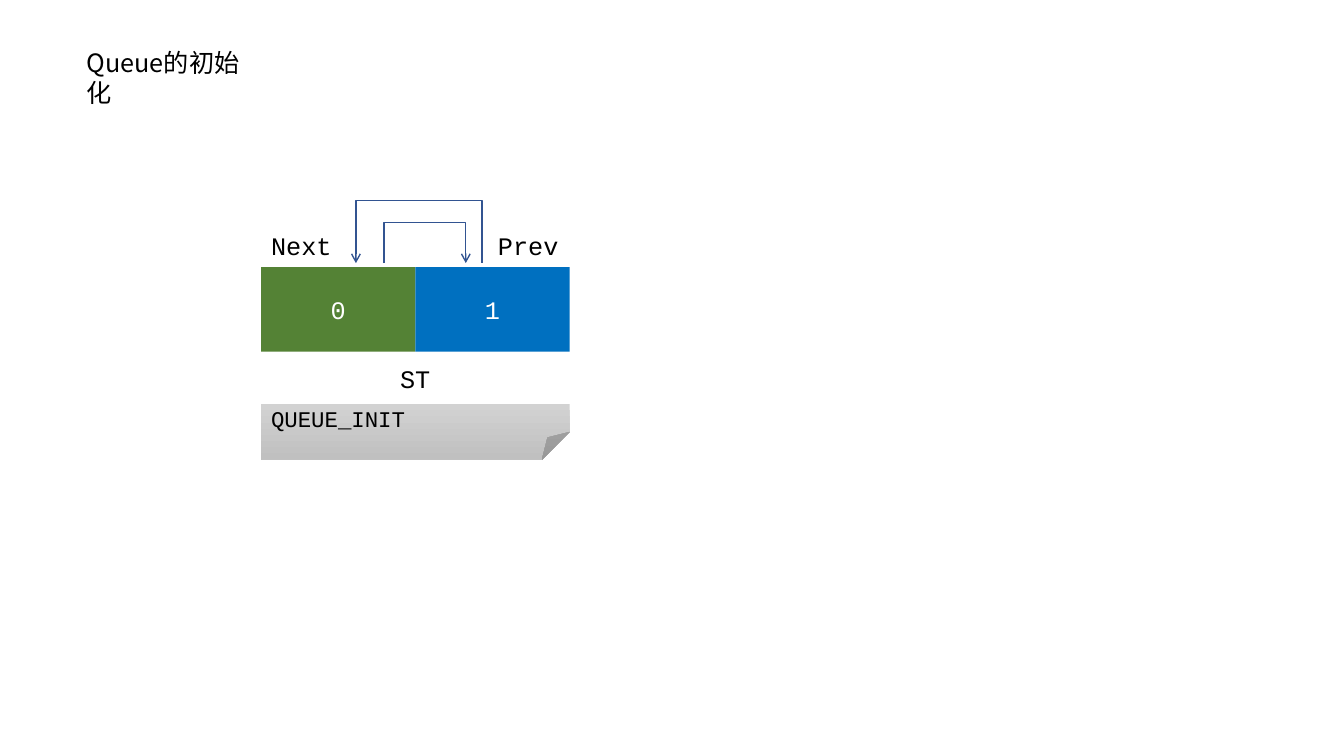
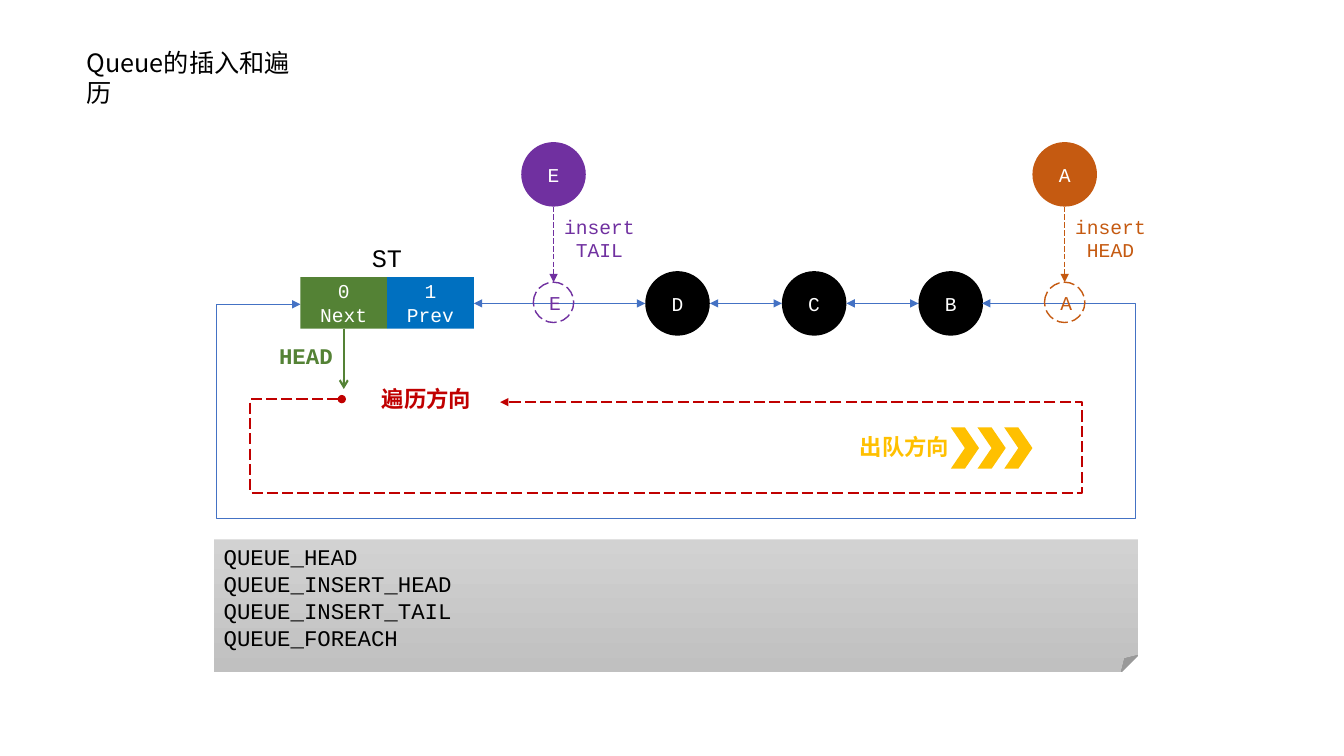
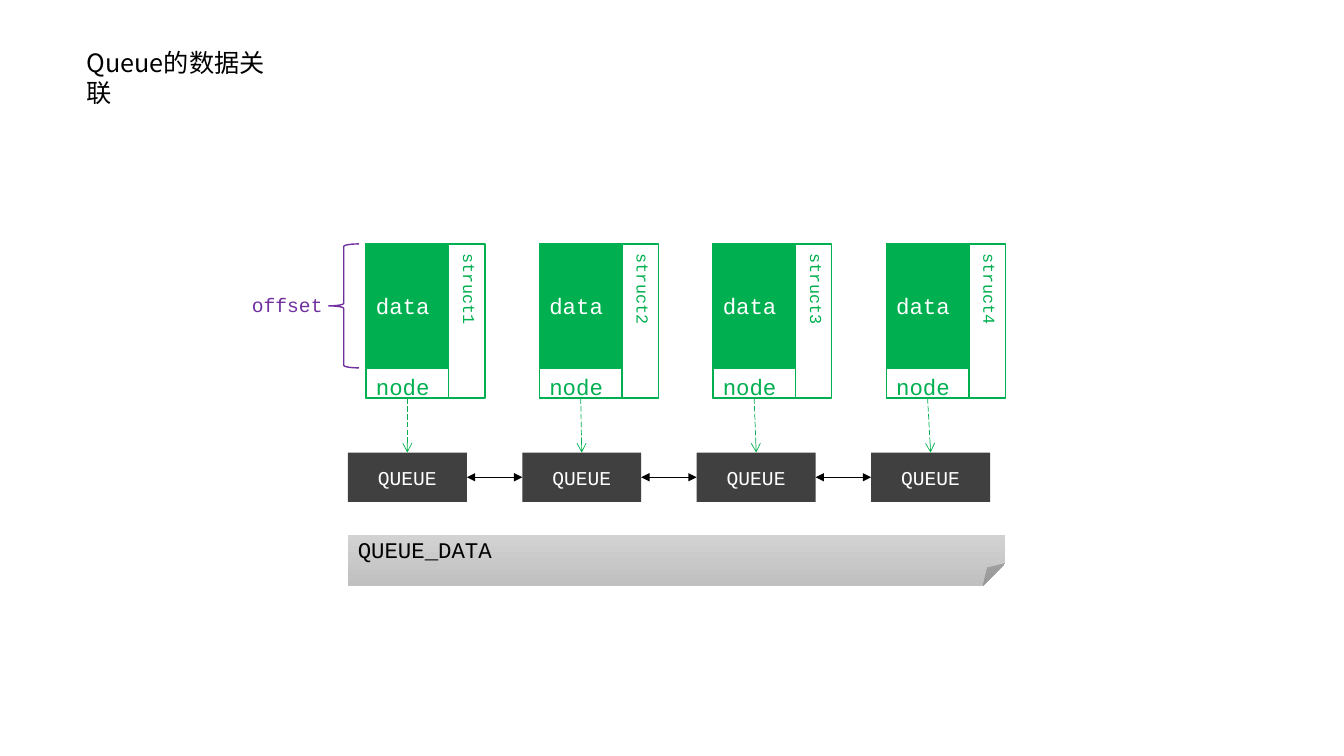
from lxml.etree import SubElement
from pptx import Presentation
from pptx.dml.color import RGBColor
from pptx.enum.dml import MSO_LINE
from pptx.enum.shapes import MSO_CONNECTOR, MSO_SHAPE as SHAPE
from pptx.enum.text import MSO_ANCHOR as ANCHOR, MSO_AUTO_SIZE, PP_ALIGN as ALIGN
from pptx.oxml.ns import qn
from pptx.util import Inches, Pt

MONO, CJK = "Courier New", "Noto Sans CJK SC"
BLACK, WHITE, CHARCOAL = "000000", "FFFFFF", "404040"
OLIVE, BLUE, LINK, NAVY = "548235", "0070C0", "4472C4", "325491"
PURPLE, RUST, RED, GOLD, GREEN = "7030A0", "C55A11", "C00000", "FFC000", "00B050"
PAPER_TOP, PAPER_BOTTOM = "D2D2D2", "C0C0C0"


def rgb(color):
    return RGBColor.from_string(color)


def write(frame, text, size, color, font=MONO, align=ALIGN.LEFT,
          anchor=ANCHOR.TOP, bold=False, wrap=True):
    frame.text = text
    frame.word_wrap = wrap
    frame.auto_size = MSO_AUTO_SIZE.NONE
    frame.vertical_anchor = anchor
    for paragraph in frame.paragraphs:
        paragraph.alignment = align
        for run in paragraph.runs:
            run.font.size, run.font.bold = Pt(size), bold
            run.font.name = font
            run.font.color.rgb = rgb(color)
            east_asian = SubElement(run.font._element, qn("a:ea"))
            east_asian.set("typeface", font)


def stroke(shape, color, width, dashed=False, head=None, tail=None):
    """Style an outline; head and tail are the arrowheads at its start and end."""
    shape.line.color.rgb = rgb(color)
    shape.line.width = Pt(width)
    if dashed:
        shape.line.dash_style = MSO_LINE.LONG_DASH
    outline = shape._element.spPr.find(qn("a:ln"))
    for tag, kind in (("a:headEnd", head), ("a:tailEnd", tail)):
        if kind:
            SubElement(outline, qn(tag)).set("type", kind)


def block(shapes, kind, left, top, width, height, fill=None, line=None, dashed=False):
    shape = shapes.add_shape(kind, Inches(left), Inches(top), Inches(width), Inches(height))
    shape.shadow.inherit = False
    if fill:
        shape.fill.solid()
        shape.fill.fore_color.rgb = rgb(fill)
    else:
        shape.fill.background()
    if line:
        stroke(shape, line, 1, dashed)
    else:
        shape.line.fill.background()
    return shape


def label(shapes, left, top, width, height, text, size, color, **style):
    box = shapes.add_textbox(Inches(left), Inches(top), Inches(width), Inches(height))
    write(box.text_frame, text, size, color, wrap=False, **style)


def arrow(shapes, start, end, color, width=0.5, **ends):
    link = shapes.add_connector(MSO_CONNECTOR.STRAIGHT, *map(Inches, start + end))
    stroke(link, color, width, **ends)
    SubElement(link._element.spPr, qn("a:effectLst"))


def route(shapes, points, color, width=1, **ends):
    """Draw an open line through the points."""
    corners = [(Inches(x), Inches(y)) for x, y in points]
    builder = shapes.build_freeform(*corners[0])
    builder.add_line_segments(corners[1:], close=False)
    line = builder.convert_to_shape()
    line.shadow.inherit = False
    line.fill.background()
    stroke(line, color, width, **ends)


def titled_slide(deck, title, width):
    slide = deck.slides.add_slide(deck.slide_layouts[5])
    heading = slide.shapes.title
    heading.left, heading.top = Inches(0.76), Inches(0.42)
    heading.width, heading.height = Inches(width), Inches(0.4)
    write(heading.text_frame, title, 18, BLACK, font=CJK)
    return slide.shapes


def memo(shapes, left, top, width, height, text, fold):
    """Draw a paper note; fold is the corner's share of the height."""
    note = block(shapes, SHAPE.FOLDED_CORNER, left, top, width, height, PAPER_TOP)
    geometry = note._element.spPr.find(qn("a:prstGeom"))
    guide = SubElement(geometry.find(qn("a:avLst")), qn("a:gd"))
    guide.set("name", "adj")
    guide.set("fmla", f"val {round(fold * 100000)}")
    note.fill.gradient()
    note.fill.gradient_angle = 270
    for stop, color in zip(note.fill.gradient_stops, (PAPER_TOP, PAPER_BOTTOM)):
        stop.color.rgb = rgb(color)
    write(note.text_frame, text, 16, BLACK, anchor=ANCHOR.MIDDLE)


def centred(shapes, kind, left, top, width, height, text, size,
            color=WHITE, **look):
    shape = block(shapes, kind, left, top, width, height, **look)
    write(shape.text_frame, text, size, color, align=ALIGN.CENTER, anchor=ANCHOR.MIDDLE)


def sentinel(shapes, left, top, width, height, texts, size):
    """Draw the two pointer cells of the queue head side by side."""
    for i, (text, fill) in enumerate(zip(texts, (OLIVE, BLUE))):
        centred(shapes, SHAPE.RECTANGLE, left + i * width, top, width, height,
                text, size, fill=fill)


def insertion(shapes, left, top, letter, place, color):
    """Draw a new node dropping into its place in the list."""
    node, slot = 0.64, 0.4
    middle, slot_top = left + node / 2, top + 1.39
    centred(shapes, SHAPE.OVAL, left, top, node, node, letter, 14, fill=color)
    label(shapes, middle, top + 0.67, 0.91, 0.57, f"insert\n{place}", 14, color,
          align=ALIGN.CENTER)
    centred(shapes, SHAPE.OVAL, middle - slot / 2, slot_top, slot, slot, letter, 14,
            color, line=color, dashed=True)
    arrow(shapes, (middle, top + node), (middle, slot_top), color,
          dashed=True, tail="triangle")


def dequeue_mark(shapes, left, top):
    group = shapes.add_group_shape().shapes
    label(group, left, top + 0.01, 1.1, 0.37, "出队方向", 16, GOLD, font=CJK, bold=True)
    for i in range(3):
        block(group, SHAPE.CHEVRON, left + 1 + i * 0.265, top, 0.28, 0.41, GOLD)


def record(shapes, left, top, name):
    """Draw a struct with its data and its queue node."""
    data_width, data_height = 0.82, 1.23
    frame = block(shapes, SHAPE.RECTANGLE, left, top, 1.18, 1.53, line=GREEN)
    write(frame.text_frame, name, 12, GREEN)
    frame.text_frame._txBody.bodyPr.set("vert", "vert")
    data = block(shapes, SHAPE.RECTANGLE, left, top, data_width, data_height, GREEN, GREEN)
    write(data.text_frame, "data", 16, WHITE, anchor=ANCHOR.MIDDLE)
    node = block(shapes, SHAPE.RECTANGLE, left, top + data_height, data_width, 0.3, line=GREEN)
    write(node.text_frame, "node", 16, GREEN)


def init_slide(deck):
    shapes = titled_slide(deck, "Queue的初始化", 1.94)
    left, top, cell = 2.59, 2.65, 1.53
    sentinel(shapes, left, top, cell, 0.84, ("0", "1"), 18)
    label(shapes, 3.87, 3.56, 0.5, 0.4, "ST", 18, BLACK)
    for x, name in ((left, "Next"), (4.84, "Prev")):
        label(shapes, x, 2.24, 0.81, 0.4, name, 18, BLACK)
    for start, end, peak, ends in ((3.53, 4.78, 1.99, {"head": "arrow"}),
                                   (3.81, 4.62, 2.21, {"tail": "arrow"})):
        route(shapes, [(start, 2.61), (start, peak), (end, peak), (end, 2.61)], NAVY, **ends)
    memo(shapes, left, 4.01, 2 * cell, 0.55, "QUEUE_INIT", 0.5)


def insert_slide(deck):
    shapes = titled_slide(deck, "Queue的插入和遍历", 2.44)
    axis, node, first, pitch = 3.01, 0.64, 6.4, 1.355
    both = {"head": "triangle", "tail": "triangle"}
    lefts = [first + i * pitch for i in range(3)]
    for left, letter in zip(lefts, "DCB"):
        centred(shapes, SHAPE.OVAL, left, axis - node / 2, node, node, letter, 14, fill=BLACK)
    for start, end in zip([4.7] + [left + node for left in lefts], lefts):
        arrow(shapes, (start, axis), (end, axis), LINK, **both)
    route(shapes, [(2.98, 3.02), (2.15, 3.02), (2.15, 5.14), (11.26, 5.14),
                   (11.26, axis), (9.74, axis)], LINK, 0.5, **both)
    sentinel(shapes, 2.98, 2.75, 0.86, 0.51, ("0 Next", "1 Prev"), 14)
    label(shapes, 3.59, 2.35, 0.5, 0.4, "ST", 18, BLACK)
    dequeue_mark(shapes, 8.43, 4.24)
    insertion(shapes, 5.17, 1.41, "E", "TAIL", PURPLE)
    insertion(shapes, 10.24, 1.41, "A", "HEAD", RUST)
    label(shapes, 3.69, 3.77, 1.1, 0.37, "遍历方向", 16, RED, font=CJK, bold=True)
    arrow(shapes, (3.41, 3.26), (3.41, 3.86), OLIVE, 1.5, tail="arrow")
    route(shapes, [(3.39, 3.96), (2.48, 3.96), (2.48, 4.89), (10.73, 4.89),
                   (10.73, 3.99), (4.96, 3.99)], RED, dashed=True,
          head="oval", tail="triangle")
    calls = ("QUEUE_HEAD", "QUEUE_INSERT_HEAD", "QUEUE_INSERT_TAIL", "QUEUE_FOREACH")
    memo(shapes, 2.12, 5.35, 9.17, 1.32, "\n".join(calls), 0.13)
    label(shapes, 2.67, 3.35, 0.74, 0.37, "HEAD", 16, OLIVE, bold=True)


def data_slide(deck):
    shapes = titled_slide(deck, "Queue的数据关联", 2.19)
    left, top, width, height, pitch, count = 3.45, 4.49, 1.18, 0.49, 1.73, 4
    record_left, record_top, record_pitch = 3.63, 2.42, 1.72
    for i in range(count):
        queue_x, record_x = left + i * pitch, record_left + i * record_pitch
        centred(shapes, SHAPE.RECTANGLE, queue_x, top, width, height, "QUEUE", 14,
                fill=CHARCOAL)
        record(shapes, record_x, record_top, f"struct{i + 1}")
        arrow(shapes, (record_x + 0.41, 3.95), (queue_x + width / 2, top), GREEN,
              dashed=True, tail="arrow")
        if i < count - 1:
            axis = top + height / 2
            arrow(shapes, (queue_x + width, axis), (queue_x + pitch, axis), BLACK,
                  head="triangle", tail="triangle")
    block(shapes, SHAPE.LEFT_BRACE, 3.26, record_top, 0.3, 1.23, line=PURPLE)
    label(shapes, 2.4, 2.86, 0.91, 0.34, "offset", 14, PURPLE)
    memo(shapes, left, 5.31, 6.52, 0.5, "QUEUE_DATA", 0.44)


def main():
    deck = Presentation()
    deck.slide_width, deck.slide_height = Inches(13.33), Inches(7.5)
    for build in (init_slide, insert_slide, data_slide):
        build(deck)
    deck.save("out.pptx")


if __name__ == "__main__":
    main()
